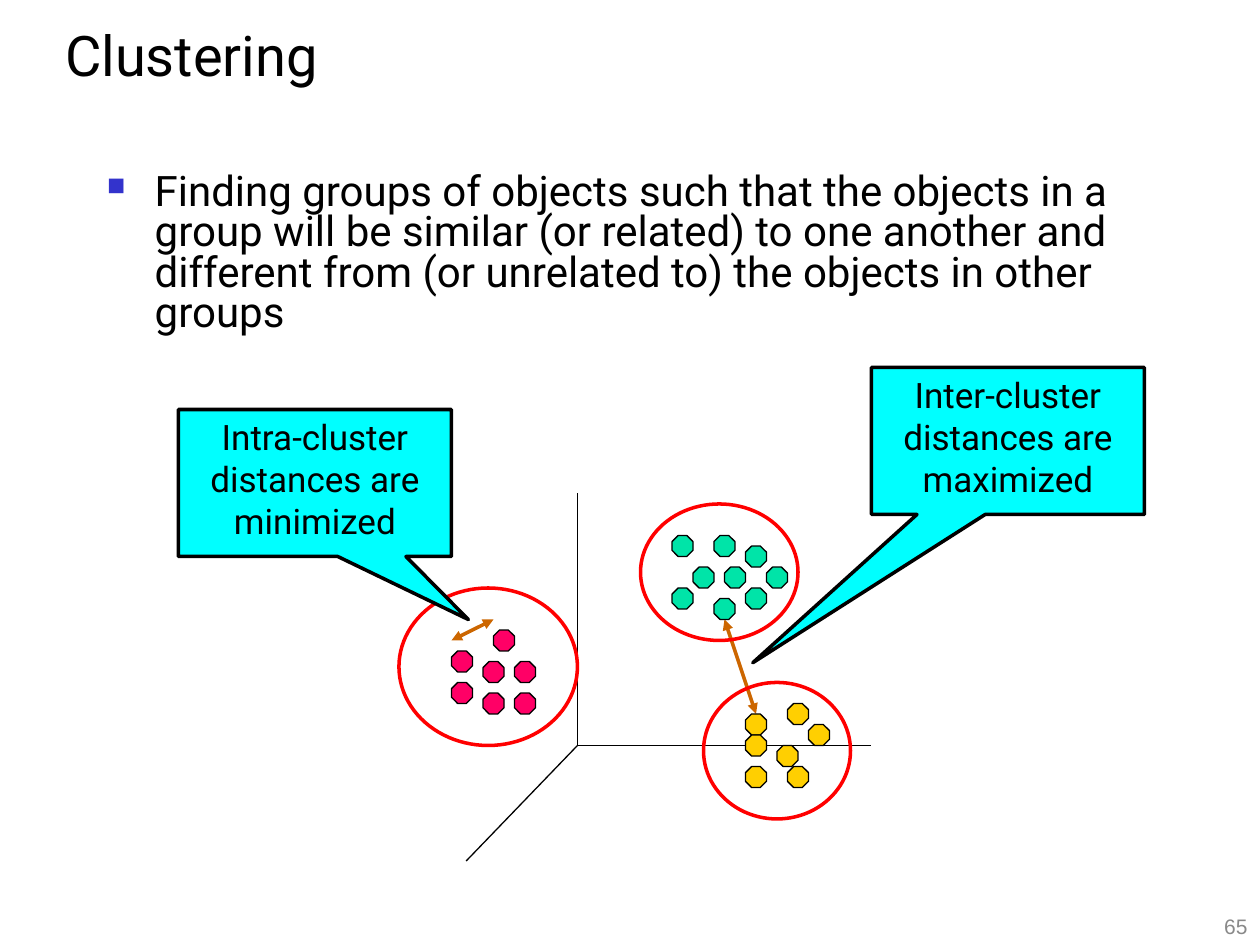
from lxml.etree import SubElement
from pptx import Presentation
from pptx.dml.color import RGBColor
from pptx.enum.shapes import MSO_CONNECTOR, MSO_SHAPE
from pptx.enum.text import MSO_ANCHOR, PP_ALIGN
from pptx.oxml.ns import qn
from pptx.util import Inches, Pt

COLORS = {
    "black": "000000", "bullet": "3333CC", "number": "898989",
    "green": "00E4A8", "pink": "FF0066", "yellow": "FFCF01",
    "ring": "FF0000", "arrow": "CC6600", "callout": "00FFFF",
}
COLUMNS, ROWS = 120, 90
WIDTH, HEIGHT = Inches(10), Inches(7.5)
DOT = 2


def color(name):
    """Return the named colour of the palette."""
    return RGBColor.from_string(COLORS[name])


def grid(*lengths):
    """Turn alternating columns and rows into slide lengths."""
    units = (WIDTH / COLUMNS, HEIGHT / ROWS)
    return [round(length * units[i % 2]) for i, length in enumerate(lengths)]


def place(shape, box):
    """Move a shape to a box given in columns and rows."""
    shape.left, shape.top, shape.width, shape.height = grid(*box)


def write(shape, text, size, font="Roboto", ink="black", align=PP_ALIGN.LEFT,
          anchor=MSO_ANCHOR.TOP, spacing=None, bullet=None):
    """Fill a shape with one formatted paragraph."""
    frame = shape.text_frame
    frame.word_wrap = True
    frame.vertical_anchor = anchor
    para = frame.paragraphs[0]
    para.alignment = align
    if spacing:
        para.line_spacing = spacing
    if bullet:
        add_bullet(para, bullet)
    span = para.add_run()
    span.text = text
    span.font.name = font
    span.font.size = Pt(size)
    span.font.color.rgb = color(ink)


def add_bullet(para, mark):
    """Give a paragraph a hanging coloured bullet."""
    props = para._p.get_or_add_pPr()
    props.set("marL", str(Inches(0.38)))
    props.set("indent", str(Inches(-0.38)))
    tint = SubElement(props, qn("a:buClr"))
    SubElement(tint, qn("a:srgbClr"), val=COLORS["bullet"])
    SubElement(props, qn("a:buSzPct"), val="60000")
    SubElement(props, qn("a:buChar"), char=mark)


def add_line(page, ends, ink="black", weight=0.75, arrows=False):
    """Draw a straight line, with arrowheads at both ends if wanted."""
    line = page.shapes.add_connector(MSO_CONNECTOR.STRAIGHT, *grid(*ends))
    line.line.color.rgb = color(ink)
    line.line.width = Pt(weight)
    if arrows:
        stroke = line.line._get_or_add_ln()
        for tag in ("a:headEnd", "a:tailEnd"):
            SubElement(stroke, qn(tag), type="triangle")
    SubElement(line._element.spPr, qn("a:effectLst"))


def add_shape(page, kind, box, fill=None, ink="black", weight=0.75):
    """Draw a preset shape with its fill and outline."""
    shape = page.shapes.add_shape(kind, *grid(*box))
    shape.shadow.inherit = False
    if fill:
        shape.fill.solid()
        shape.fill.fore_color.rgb = color(fill)
    else:
        shape.fill.background()
    shape.line.color.rgb = color(ink)
    shape.line.width = Pt(weight)
    return shape


def add_axes(page, origin, tips):
    """Draw one axis from the origin to each tip."""
    for tip in tips:
        add_line(page, (*origin, *tip))


def add_cluster(page, box, fill, dots):
    """Draw dots at offsets inside a box and the ring around them."""
    left, top = box[:2]
    for column, row in dots:
        add_shape(page, MSO_SHAPE.OCTAGON, (left + column, top + row, DOT, DOT), fill)
    add_shape(page, MSO_SHAPE.OVAL, box, ink="ring", weight=2)


def add_distance(page, box, text, pointer, ends):
    """Draw a distance arrow and the callout that explains it."""
    add_line(page, ends, "arrow", 2, arrows=True)
    callout = add_shape(page, MSO_SHAPE.RECTANGULAR_CALLOUT, box, "callout", weight=2)
    callout.adjustments[0], callout.adjustments[1] = pointer
    write(callout, text, 20, align=PP_ALIGN.CENTER)


def add_text(page, box, text, size, **style):
    """Add a text box in the given box."""
    write(page.shapes.add_textbox(*grid(*box)), text, size, **style)


def add_diagram(page):
    """Draw the axes, the three clusters and both distances."""
    add_axes(page, (55, 71), [(55, 47), (83, 71), (44.4, 82)])
    add_distance(page, (83, 35, 26, 14), "Inter-cluster distances are maximized",
                 (-0.935, 1.509), (72, 68, 69, 59))
    add_cluster(page, (38, 56, 17, 15), "pink",
                [(5, 6), (8, 7), (8, 10), (11, 7), (9, 4), (11, 10), (5, 9)])
    add_cluster(page, (61, 48, 15, 13), "green",
                [(5, 6), (8, 6), (7, 3), (7, 9), (12, 6), (10, 4), (3, 3), (10, 8), (3, 8)])
    add_cluster(page, (67, 65, 14, 13), "yellow",
                [(4, 3), (10, 4), (7, 6), (4, 8), (8, 8), (4, 5), (8, 2)])
    add_distance(page, (17, 39, 26, 14), "Intra-cluster distances are minimized",
                 (0.562, 0.929), (43, 61, 47, 59))


def main():
    """Build and save the clustering slide."""
    deck = Presentation()
    deck.slide_width, deck.slide_height = WIDTH, HEIGHT
    page = deck.slides.add_slide(deck.slide_layouts[5])
    place(page.shapes.title, (5, 2, 108.7, 7))
    write(page.shapes.title, "Clustering", 32, anchor=MSO_ANCHOR.BOTTOM, spacing=Pt(36))
    add_text(page, (9, 16, 102, 29),
             "Finding groups of objects such that the objects in a group will be "
             "similar (or related) to one another and different from (or unrelated "
             "to) the objects in other groups", 24, spacing=0.8, bullet="■")
    add_diagram(page)
    add_text(page, (95, 84, 25, 6), "65", 12, font="Arial", ink="number",
             align=PP_ALIGN.RIGHT, anchor=MSO_ANCHOR.BOTTOM)
    deck.save("out.pptx")


if __name__ == "__main__":
    main()
